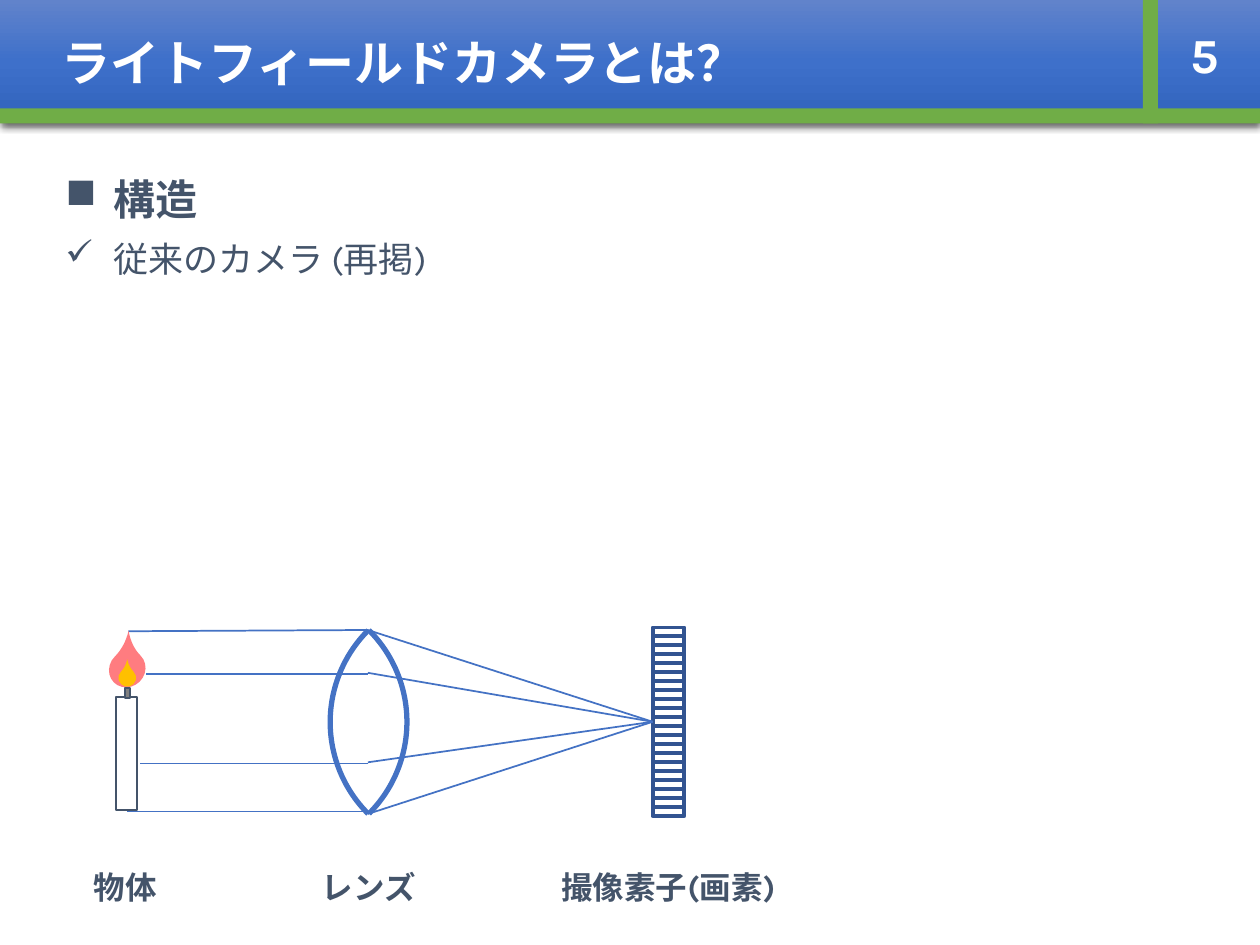
from lxml.etree import SubElement
from pptx import Presentation
from pptx.dml.color import RGBColor
from pptx.enum.shapes import MSO_CONNECTOR as Link, MSO_SHAPE as Geo
from pptx.enum.text import MSO_ANCHOR as Anchor, PP_ALIGN as Align
from pptx.oxml import parse_xml
from pptx.oxml.ns import nsdecls, qn
from pptx.util import Inches, Pt

FONT = "Karla"
WHITE = RGBColor(0xFF, 0xFF, 0xFF)
SLATE = RGBColor(0x44, 0x54, 0x6A)
GREEN = RGBColor(0x70, 0xAD, 0x47)
BLUE = RGBColor(0x44, 0x72, 0xC4)
NAVY = RGBColor(0x32, 0x54, 0x91)
GRAY = RGBColor(0x80, 0x80, 0x80)
PINK = RGBColor(0xFF, 0x7C, 0x80)
AMBER = RGBColor(0xFF, 0xC0, 0x00)

LENS_X, MID_Y = 2.92, 5.73
CELLS, CELL_TOP, CELL_GAP = 21, 4.98, 0.0713


def add_shape(slide, geo, box, fill=None, line=None, width=1, turn=0):
    shape = slide.shapes.add_shape(geo, *map(Inches, box))
    shape.shadow.inherit = False
    shape.rotation = turn
    if fill is None:
        shape.fill.background()
    else:
        shape.fill.solid()
        shape.fill.fore_color.rgb = fill
    if line is None:
        shape.line.fill.background()
    else:
        shape.line.color.rgb = line
        shape.line.width = Pt(width)
    return shape


def add_ray(slide, start, end, cell=None):
    """Draw a light ray, joined to the left side of a cell if one is given."""
    ray = slide.shapes.add_connector(Link.STRAIGHT, *map(Inches, start + end))
    ray.line.color.rgb = BLUE
    ray.line.width = Pt(1)
    SubElement(ray._element.spPr, qn("a:effectLst"))
    if cell is not None:
        ray.end_connect(cell, 1)


def add_run(para, text, size, color, bold=True):
    run = para.add_run()
    run.text = text
    font = run.font
    font.name, font.size, font.bold = FONT, Pt(size), bold
    font.color.rgb = color


def add_box(slide, box):
    frame = slide.shapes.add_textbox(*map(Inches, box)).text_frame
    frame.word_wrap = True
    return frame


def add_label(slide, text, left, width):
    para = add_box(slide, (left, 6.87, width, 0.49)).paragraphs[0]
    para.alignment = Align.CENTER
    para.line_spacing = 0.9
    para.space_before = Pt(7.5)
    add_run(para, text, 18, SLATE)


def add_bullet(para, mark, text, size, bold, spacing):
    para.line_spacing = spacing
    para.space_before = Pt(7.5)
    props = para._p.get_or_add_pPr()
    props.set("marL", str(Inches(0.38)))
    props.set("indent", str(-Inches(0.38)))
    SubElement(props, qn("a:buChar"), char=mark)
    add_run(para, text, size, SLATE, bold)


def shade(bar):
    """Give the header its three-step gradient and soft shadow."""
    stops = "".join(
        f'<a:gs pos="{pos}"><a:srgbClr val="{color}"/></a:gs>'
        for pos, color in ((0, "6183CB"), (50000, "3E70CA"), (100000, "3062BB")))
    bar.fill.gradient()
    bar.fill.gradient_angle = 270
    props = bar._element.spPr
    old = props.find(qn("a:gradFill")).find(qn("a:gsLst"))
    old.getparent().replace(
        old, parse_xml(f'<a:gsLst {nsdecls("a")}>{stops}</a:gsLst>'))
    props.find(qn("a:effectLst")).append(parse_xml(
        f'<a:outerShdw {nsdecls("a")} blurRad="{Pt(4.5)}" dist="{Pt(1.5)}" '
        'dir="5400000" algn="t" rotWithShape="0"><a:srgbClr val="000000">'
        '<a:alpha val="63000"/></a:srgbClr></a:outerShdw>'))


def add_header(slide):
    bar = add_shape(slide, Geo.RECTANGLE, (0, 0, 10, 0.98), BLUE)
    shade(bar)
    frame = bar.text_frame
    frame.margin_left = Inches(0.49)
    frame.vertical_anchor = Anchor.MIDDLE
    frame.paragraphs[0].alignment = Align.LEFT
    add_run(frame.paragraphs[0], "ライトフィールドカメラとは？", 28, WHITE)
    add_shape(slide, Geo.RECTANGLE, (0, 0.86, 10, 0.12), GREEN)
    page = add_box(slide, (9.13, 0, 0.87, 0.86))
    page.vertical_anchor = Anchor.MIDDLE
    page.paragraphs[0].alignment = Align.CENTER
    add_run(page.paragraphs[0], "5", 28, WHITE)
    add_shape(slide, Geo.RECTANGLE, (9.07, 0, 0.12, 0.98), GREEN)


def add_body(slide):
    frame = add_box(slide, (0.42, 1.37, 9.15, 6.13))
    add_bullet(frame.paragraphs[0], "■", "構造", 24, True, 0.9)
    add_bullet(frame.add_paragraph(), "✓", "従来のカメラ (再掲)", 20, False, 1.0)


def add_lens(slide):
    for left, turn in ((1.17, 45), (2.62, 225)):
        add_shape(slide, Geo.ARC, (left, 4.7, 2.06, 2.06),
                  line=BLUE, width=3, turn=turn)


def add_sensor(slide):
    """Stack the pixel cells and return the middle one."""
    cells = [add_shape(slide, Geo.RECTANGLE,
                       (5.18, CELL_TOP + i * CELL_GAP, 0.25, CELL_GAP),
                       line=NAVY, width=2.25)
             for i in range(CELLS)]
    return cells[CELLS // 2]


def add_candle(slide):
    add_shape(slide, Geo.RECTANGLE, (0.92, 5.53, 0.17, 0.9), WHITE, SLATE)
    outer = add_shape(slide, Geo.TEAR, (0.86, 5.17, 0.3, 0.28), PINK, turn=315)
    add_shape(slide, Geo.RECTANGLE, (0.99, 5.46, 0.04, 0.08), GRAY, SLATE)
    inner = add_shape(slide, Geo.TEAR, (0.94, 5.31, 0.14, 0.14), AMBER, turn=315)
    for flame in (outer, inner):
        flame.adjustments[0] = 1.476


def main():
    deck = Presentation()
    deck.slide_width, deck.slide_height = Inches(10), Inches(7.5)
    slide = deck.slides.add_slide(deck.slide_layouts[6])
    add_body(slide)
    add_header(slide)
    for x, y, lens_y in ((1.11, 6.06, 6.06), (1.01, 6.44, 6.44),
                         (1.02, 5.01, 5), (1.16, 5.35, 5.35)):
        add_ray(slide, (LENS_X, lens_y), (x, y))
    add_lens(slide)
    focus = add_sensor(slide)
    for y in (5, 6.46, 5.34, 6.05):
        add_ray(slide, (LENS_X, y), (5.18, MID_Y), focus)
    add_candle(slide)
    for text, left, width in (("物体", 0.42, 1.15), ("レンズ", 1.33, 3.19),
                              ("撮像素子(画素)", 3.71, 3.19)):
        add_label(slide, text, left, width)
    deck.save("out.pptx")


if __name__ == "__main__":
    main()
